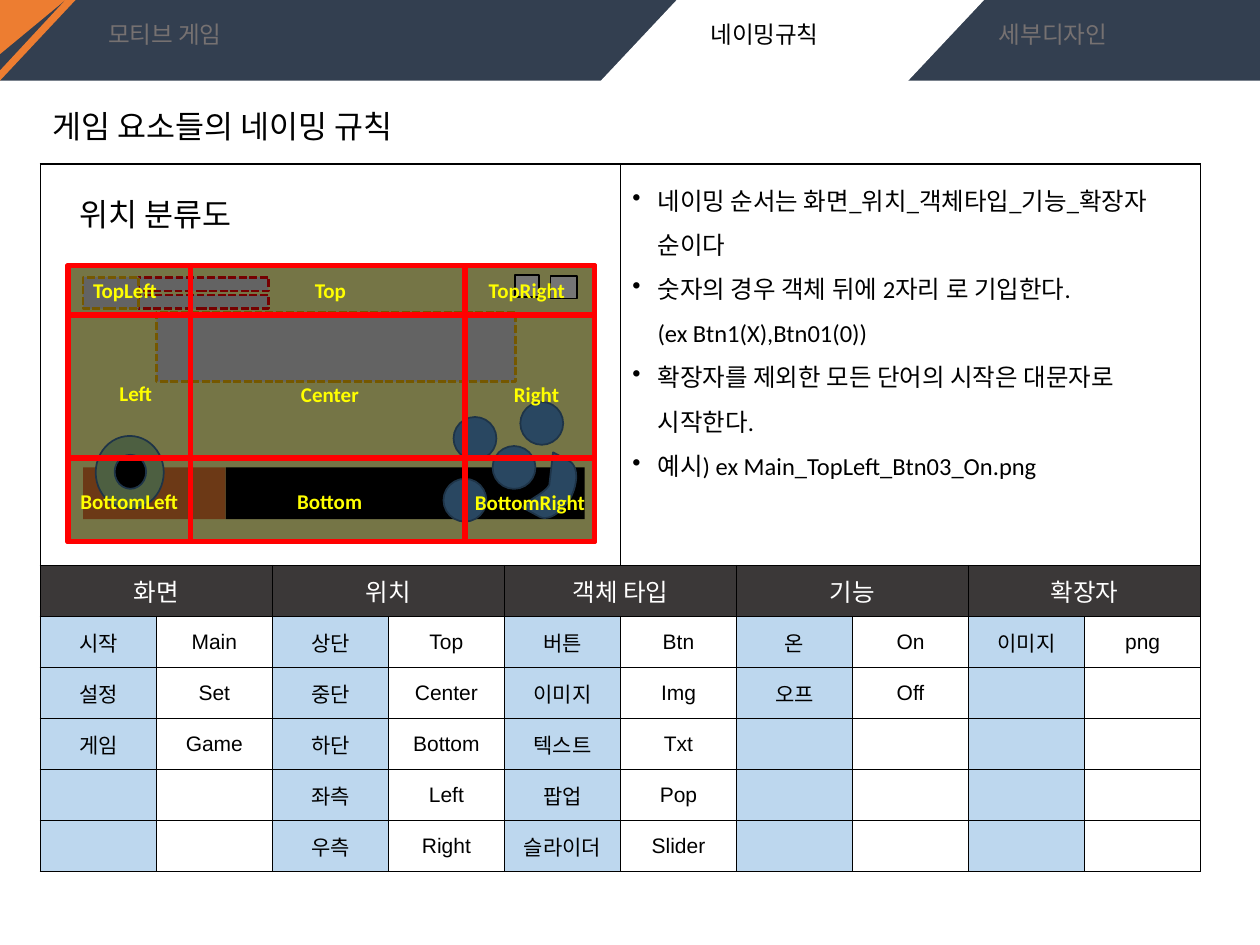
from dataclasses import dataclass
from typing import Optional

from lxml.etree import SubElement
from pptx import Presentation
from pptx.dml.color import RGBColor
from pptx.enum.dml import MSO_LINE
from pptx.enum.shapes import MSO_SHAPE
from pptx.enum.text import MSO_ANCHOR, MSO_AUTO_SIZE, PP_ALIGN
from pptx.oxml.ns import qn
from pptx.shapes.autoshape import Shape
from pptx.shapes.shapetree import GroupShapes, SlideShapes
from pptx.slide import Slide
from pptx.table import _Cell
from pptx.text.text import _Paragraph
from pptx.util import Emu, Inches, Pt

BLACK = RGBColor(0x00, 0x00, 0x00)
WHITE = RGBColor(0xFF, 0xFF, 0xFF)
NAVY = RGBColor(0x33, 0x3F, 0x50)
ORANGE = RGBColor(0xED, 0x7D, 0x31)
TAB_GREY = RGBColor(0x76, 0x71, 0x71)
HEADER = RGBColor(0x3B, 0x38, 0x38)
PALE_BLUE = RGBColor(0xBD, 0xD7, 0xEE)
CREAM = RGBColor(0xFF, 0xFF, 0x99)
GREEN = RGBColor(0xA9, 0xD1, 0x8E)
BLUE = RGBColor(0x5B, 0x9B, 0xD5)
EDGE_BLUE = RGBColor(0x43, 0x73, 0x9E)
LIGHT_GREY = RGBColor(0xD9, 0xD9, 0xD9)
RED = RGBColor(0xFF, 0x00, 0x00)
GOLD = RGBColor(0xFF, 0xC0, 0x00)
YELLOW = RGBColor(0xFF, 0xFF, 0x00)

# The slide is a grid of 1000 columns by 750 rows
WIDTH, HEIGHT = Inches(10), Inches(7.5)
COLUMNS, ROWS = 1000, 750

Canvas = SlideShapes | GroupShapes
Point = tuple[float, float]


@dataclass(frozen=True)
class Area:
    column: float
    row: float
    columns: float
    rows: float

    def emu(self) -> list[Emu]:
        return [across(self.column), down(self.row), across(self.columns), down(self.rows)]


@dataclass(frozen=True)
class Look:
    fill: Optional[RGBColor] = None
    line: Optional[RGBColor] = None
    weight: float = 1
    dashed: bool = False


@dataclass(frozen=True)
class Label:
    text: str
    area: Area
    size: float
    color: RGBColor = BLACK
    bold: bool = False


def across(columns: float) -> Emu:
    return Emu(round(columns * WIDTH / COLUMNS))


def down(rows: float) -> Emu:
    return Emu(round(rows * HEIGHT / ROWS))


def paint(shape: Shape, look: Look) -> None:
    shape.shadow.inherit = False
    if look.fill is None:
        shape.fill.background()
    else:
        shape.fill.solid()
        shape.fill.fore_color.rgb = look.fill
    if look.line is None:
        shape.line.fill.background()
        return
    shape.line.color.rgb = look.line
    shape.line.width = Pt(look.weight)
    if look.dashed:
        shape.line.dash_style = MSO_LINE.SQUARE_DOT


def draw(canvas: Canvas, kind: MSO_SHAPE, area: Area, look: Look) -> Shape:
    shape = canvas.add_shape(kind, *area.emu())
    paint(shape, look)
    return shape


def outline(canvas: Canvas, points: list[Point], look: Look) -> None:
    first, *rest = [(across(column), down(row)) for column, row in points]
    builder = canvas.build_freeform(*first, scale=1.0)
    builder.add_line_segments(rest, close=True)
    paint(builder.convert_to_shape(), look)


def curve(a: Point, b: Point, c: Point, d: Point, steps: int = 12) -> list[Point]:
    """Points along a cubic curve, its start left out."""
    shares = [step / steps for step in range(1, steps + 1)]
    return [tuple((1 - t) ** 3 * p + 3 * (1 - t) ** 2 * t * q + 3 * (1 - t) * t * t * r + t ** 3 * s
                  for p, q, r, s in zip(a, b, c, d)) for t in shares]


def style(para: _Paragraph, face: str, size: float, color: RGBColor, bold: bool = False) -> None:
    para.font.name, para.font.size, para.font.bold = face, Pt(size), bold
    para.font.color.rgb = color


def write(canvas: Canvas, label: Label) -> None:
    frame = canvas.add_textbox(*label.area.emu()).text_frame
    frame.word_wrap, frame.auto_size = True, MSO_AUTO_SIZE.SHAPE_TO_FIT_TEXT
    frame.text = label.text
    style(frame.paragraphs[0], "Calibri", label.size, label.color, label.bold)


def fill_cell(cell: _Cell, text: str, size: float, color: RGBColor, fill: Optional[RGBColor]) -> None:
    properties = cell._tc.get_or_add_tcPr()
    for side in ("a:lnL", "a:lnR", "a:lnT", "a:lnB"):
        border = SubElement(properties, qn(side), w=str(Pt(1)))
        SubElement(SubElement(border, qn("a:solidFill")), qn("a:srgbClr"), val=str(BLACK))
    if fill is None:
        cell.fill.background()
    else:
        cell.fill.solid()
        cell.fill.fore_color.rgb = fill
    cell.vertical_anchor = MSO_ANCHOR.MIDDLE
    cell.text = text
    para = cell.text_frame.paragraphs[0]
    para.alignment = PP_ALIGN.CENTER
    style(para, "Arial", size, color)


def draw_header(page: Slide) -> None:
    shapes = page.shapes
    draw(shapes, MSO_SHAPE.RECTANGLE, Area(0, 0, COLUMNS, 64), Look(NAVY))
    tab = draw(shapes, MSO_SHAPE.PARALLELOGRAM, Area(476, 0, 305, 65), Look(WHITE))
    tab.adjustments[0] = 0.94
    outline(shapes, [(52, 0), (60, 0), (0, 64), (0, 56)], Look(ORANGE))
    outline(shapes, [(0, 0), (52, 0), (0, 43)], Look(ORANGE))
    for text, column, color in (("네이밍규칙", 554, BLACK), ("세부디자인", 783, TAB_GREY),
                                ("모티브 게임", 76, TAB_GREY)):
        write(shapes, Label(text, Area(column, 11, 153, 33), 13.5, color))


def draw_table(page: Slide) -> None:
    headings = ("화면", "위치", "객체 타입", "기능", "확장자")
    body = (
        ("시작", "Main", "상단", "Top", "버튼", "Btn", "온", "On", "이미지", "png"),
        ("설정", "Set", "중단", "Center", "이미지", "Img", "오프", "Off", "", ""),
        ("게임", "Game", "하단", "Bottom", "텍스트", "Txt", "", "", "", ""),
        ("", "", "좌측", "Left", "팝업", "Pop", "", "", "", ""),
        ("", "", "우측", "Right", "슬라이더", "Slider", "", "", "", ""),
    )
    table = page.shapes.add_table(7, 10, *Area(32, 130, 921, 562).emu()).table
    for column in table.columns:
        column.width = across(92.1)
    for index, row in enumerate(table.rows):
        row.height = down(40.5 if index else 319)
    for column in range(10):
        fill_cell(table.cell(0, column), "", 12, BLACK, None)
        heading = "" if column % 2 else headings[column // 2]
        fill_cell(table.cell(1, column), heading, 14, WHITE, HEADER)
        for row, texts in enumerate(body, start=2):
            fill_cell(table.cell(row, column), texts[column], 12, BLACK, WHITE if column % 2 else PALE_BLUE)
    for row, span in ((0, 5), (1, 2)):
        for column in range(0, 10, span):
            table.cell(row, column).merge(table.cell(row, column + span - 1))


def write_rules(page: Slide) -> None:
    rules = ("네이밍 순서는 화면_위치_객체타입_기능_확장자 순이다",
             "숫자의 경우 객체 뒤에 2자리 로 기입한다. \v(ex Btn1(X),Btn01(0))",
             "확장자를 제외한 모든 단어의 시작은 대문자로 \v시작한다.",
             "예시) ex Main_TopLeft_Btn03_On.png")
    frame = page.shapes.add_textbox(*Area(492, 130, 478, 257).emu()).text_frame
    frame.word_wrap, frame.vertical_anchor = True, MSO_ANCHOR.MIDDLE
    frame.text = "\n".join(rules)
    for para in frame.paragraphs:
        para.line_spacing = 1.5
        style(para, "Calibri", 14, BLACK)
        properties = para._p.get_or_add_pPr()
        properties.set("marL", str(across(20)))
        properties.set("indent", str(-across(20)))
        bullet = SubElement(properties, qn("a:buChar"), char="•")
        properties.find(qn("a:defRPr")).addprevious(bullet)


def draw_game_screen(canvas: Canvas) -> None:
    box, oval = MSO_SHAPE.RECTANGLE, MSO_SHAPE.OVAL
    button, red_dash, gold_dash = Look(BLUE, EDGE_BLUE), Look(LIGHT_GREY, RED, 1.5, True), Look(LIGHT_GREY, GOLD, 1.5, True)
    parts = [(box, Area(55, 210, 417, 220), Look(CREAM, BLACK)),
             (box, Area(179, 371, 285, 41), Look(BLACK)),
             (box, Area(409, 218, 19, 18), Look(WHITE, BLACK)),
             (box, Area(437, 219, 21, 18), Look(WHITE, BLACK)),
             (box, Area(66, 371, 113, 41), Look(ORANGE)),
             (oval, Area(76, 346, 54, 58), Look(GREEN, EDGE_BLUE)),
             (oval, Area(91, 361, 25, 27), Look(BLACK, EDGE_BLUE)),
             (box, Area(110, 234, 103, 11), red_dash),
             (box, Area(110, 220, 103, 11), red_dash),
             (box, Area(66, 220, 44, 25), gold_dash),
             (box, Area(124, 248, 285, 55), gold_dash)]
    parts += [(oval, Area(column, row, 34, 34), button)
              for column, row in ((391, 354), (413, 319), (352, 380), (360, 331))]
    for part in parts:
        draw(canvas, *part)
    # Curved button, then the dark veil over the whole screen
    outline(canvas, [(439, 359), (452, 366), *curve((452, 366), (459, 370), (459, 383), (453, 395)),
                     *curve((453, 395), (446, 407), (435, 414), (428, 410)), (415, 403),
                     *curve((415, 403), (419, 396), (432, 392), (436, 385))], button)
    veil = draw(canvas, box, Area(55, 210, 417, 219), Look(BLACK, EDGE_BLUE))
    SubElement(veil.fill._xPr.find(qn("a:solidFill"))[0], qn("a:alpha"), val="54000")


def draw_zones(canvas: Canvas) -> None:
    for row, rows in ((211, 39), (250, 113), (364, 66)):
        for column, columns in ((54, 418), (369, 103), (54, 97)):
            draw(canvas, MSO_SHAPE.RECTANGLE, Area(column, row, columns, rows), Look(None, RED, 3))
    for text, column, row, columns in (
            ("Top", 240, 215, 59), ("Center", 229, 298, 95), ("Bottom", 226, 383, 101),
            ("BottomLeft", 54, 383, 108), ("BottomRight", 367, 384, 124), ("Right", 398, 298, 83),
            ("Left", 85, 297, 117), ("TopLeft", 64, 215, 96), ("TopRight", 378, 215, 105)):
        write(canvas, Label(text, Area(column, row, columns, 30), 12, YELLOW, True))


def main() -> None:
    deck = Presentation()
    deck.slide_width, deck.slide_height = WIDTH, HEIGHT
    page = deck.slides.add_slide(deck.slide_layouts[6])
    draw_header(page)
    draw_table(page)
    write_rules(page)
    write(page.shapes, Label("게임 요소들의 네이밍 규칙", Area(32, 80, 386, 40), 18))
    diagram = page.shapes.add_group_shape().shapes
    draw_game_screen(diagram)
    draw_zones(diagram)
    write(page.shapes, Label("위치 분류도", Area(53, 150, 386, 40), 18))
    deck.save("out.pptx")


if __name__ == "__main__":
    main()
